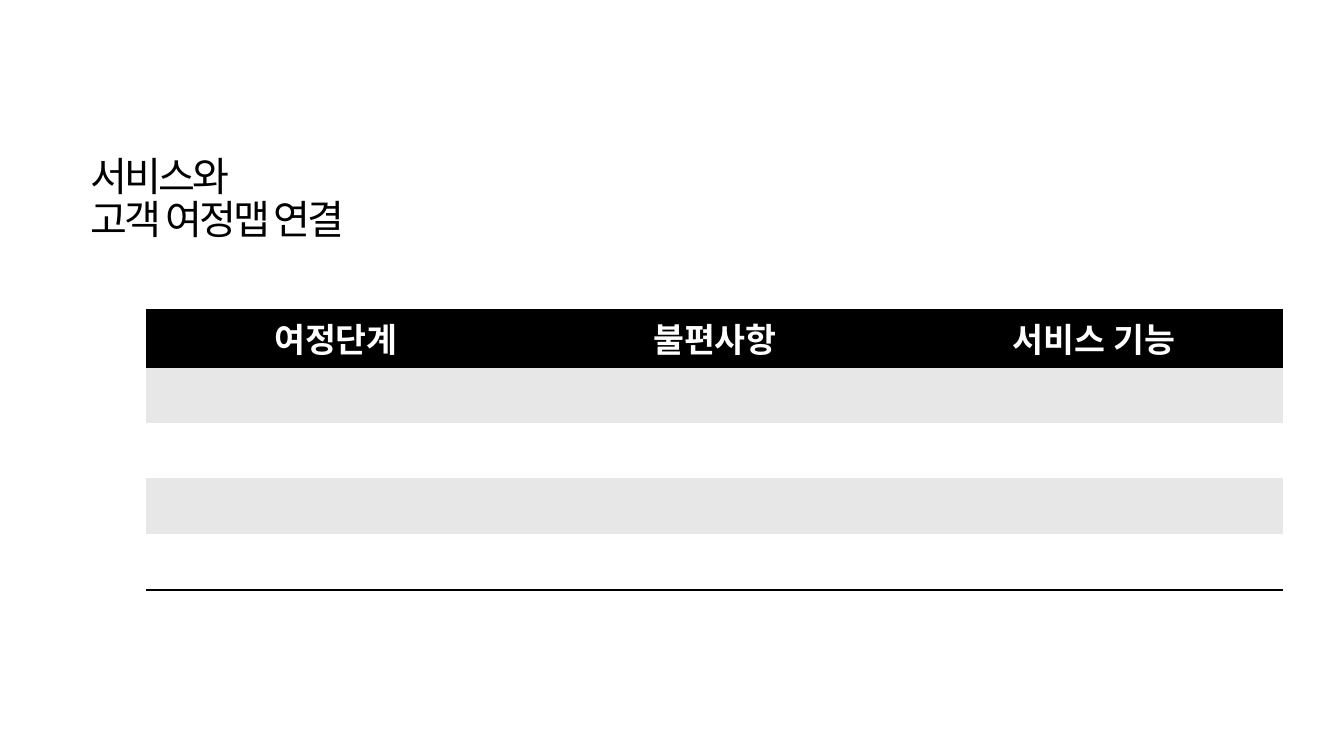
from lxml.etree import SubElement
from pptx import Presentation
from pptx.dml.color import RGBColor
from pptx.enum.text import MSO_ANCHOR, MSO_AUTO_SIZE, PP_ALIGN
from pptx.oxml import parse_xml
from pptx.oxml.ns import nsdecls, qn
from pptx.util import Inches, Pt

BLACK = RGBColor(0, 0, 0)
WHITE = RGBColor(255, 255, 255)
GRAY = RGBColor(0xE7, 0xE7, 0xE7)
FACE = "Noto Sans CJK KR"
TITLE = ["서비스와", "고객 여정맵 연결"]
HEADS = ["여정단계", "불편사항", "서비스 기능"]
ROWS = 5
RULES = {0, 1, ROWS}


def set_font(para, size, color, bold=False, track=0):
    font = para.font
    font.name = FACE
    font.size = Pt(size)
    font.bold = bold
    font.color.rgb = color
    props = para._p.pPr.find(qn("a:defRPr"))
    if track:
        props.set("spc", str(track * 100))
    SubElement(props, qn("a:ea")).set("typeface", FACE)


def add_title(slide):
    title = slide.shapes.title
    title.left, title.top = Inches(1.35), Inches(2.35)
    title.width, title.height = Inches(4.62), Inches(1.38)
    frame = title.text_frame
    frame.margin_left = frame.margin_right = 0
    frame.margin_top = frame.margin_bottom = 0
    frame.vertical_anchor = MSO_ANCHOR.TOP
    frame.auto_size = MSO_AUTO_SIZE.NONE
    frame.word_wrap = True
    frame.text = "\n".join(TITLE)
    for para in frame.paragraphs:
        para.alignment = PP_ALIGN.LEFT
        para.line_spacing = 0.88
        set_font(para, 43, BLACK, track=-3)


def set_edges(cell, row):
    ruled = {"L": False, "R": False, "T": row in RULES, "B": row + 1 in RULES}
    props = cell._tc.get_or_add_tcPr()
    for spot, (side, shown) in enumerate(ruled.items()):
        fill = (f'<a:solidFill><a:srgbClr val="{BLACK}"/></a:solidFill>'
                if shown else "<a:noFill/>")
        width = Pt(2) if shown else 0
        props.insert(spot, parse_xml(
            f'<a:ln{side} {nsdecls("a")} w="{width}">{fill}</a:ln{side}>'))


def add_grid(slide):
    table = slide.shapes.add_table(
        ROWS, len(HEADS), Inches(2.18), Inches(4.61),
        Inches(16.92), Inches(4.17)).table
    table.first_row = table.horz_banding = False
    for col in table.columns:
        col.width = Inches(5.64)
    for row, line in enumerate(table.rows):
        line.height = Inches(0.83 if row else 0.85)
        for cell in line.cells:
            cell.fill.solid()
            cell.fill.fore_color.rgb = (
                BLACK if row == 0 else GRAY if row % 2 else WHITE)
            set_edges(cell, row)
    for cell, head in zip(table.rows[0].cells, HEADS):
        cell.text = head
        para = cell.text_frame.paragraphs[0]
        para.alignment = PP_ALIGN.CENTER
        set_font(para, 36, WHITE, bold=True)


def main():
    deck = Presentation()
    deck.slide_width, deck.slide_height = Inches(20), Inches(11.25)
    slide = deck.slides.add_slide(deck.slide_layouts[5])
    add_title(slide)
    add_grid(slide)
    deck.save("out.pptx")


if __name__ == "__main__":
    main()
